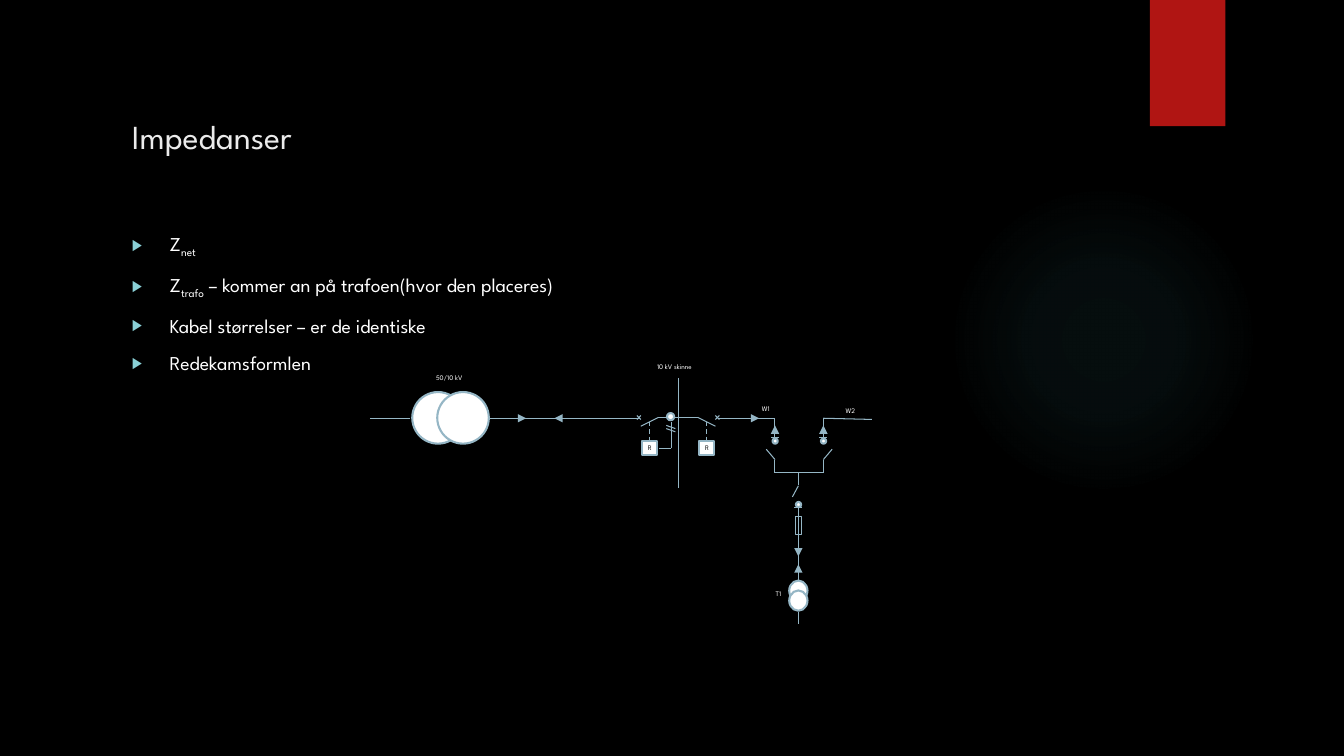
from dataclasses import dataclass

from pptx import Presentation
from pptx.dml.color import RGBColor
from pptx.enum.dml import MSO_LINE_DASH_STYLE as Dash
from pptx.enum.shapes import MSO_CONNECTOR as Connector, MSO_SHAPE as Shape
from pptx.enum.text import MSO_ANCHOR as Anchor, MSO_AUTO_SIZE as AutoSize, PP_ALIGN as Align
from pptx.oxml import parse_xml
from pptx.oxml.ns import nsdecls
from pptx.util import Cm, Pt


@dataclass(frozen=True)
class Theme:
    font: str = "League Spartan"
    background: str = "000000"
    title: str = "EBEBEB"
    light: str = "FFFFFF"
    dark: str = "000000"
    bullet: str = "8AD0D6"
    ribbon: str = "B01513"
    glow: str = "50B9C1"
    wire: str = "95B6C5"
    title_size: float = 24
    body_size: float = 14
    label_size: float = 5
    wire_width: float = 0.75
    symbol_width: float = 1.5
    fuse_width: float = 0.5


THEME = Theme()
AXIS = 10.54        # height of the incoming feeder
BUSBAR = 17.09      # position of the 10 kV busbar
CABLES = (19.53, 20.75)
LINK = 11.91        # height of the link joining both cables
TRUNK = 20.12       # position of the branch to T1

# Each item is a list of (text, is subscript)
ITEMS = [
    [("Z", False), ("net", True)],
    [("Z", False), ("trafo", True), (" – kommer an på trafoen(hvor den placeres)", False)],
    [("Kabel størrelser – er de identiske", False)],
    [("Redekamsformlen", False)],
]


def rgb(value):
    return RGBColor.from_string(value)


def apply(target, values):
    for name, value in values.items():
        setattr(target, name, value)


def style_font(font, size, color):
    apply(font, {"name": THEME.font, "size": Pt(size)})
    font.color.rgb = rgb(color)


def wire(slide, x1, y1, x2, y2, arrow=False, dashed=False):
    line = slide.shapes.add_connector(Connector.STRAIGHT, Cm(x1), Cm(y1), Cm(x2), Cm(y2))
    line.line.color.rgb = rgb(THEME.wire)
    line.line.width = Pt(THEME.wire_width)
    if dashed:
        line.line.dash_style = Dash.DASH
    if arrow:
        line.line._get_or_add_ln().append(
            parse_xml(f'<a:tailEnd {nsdecls("a")} type="triangle"/>'))
    line._element.spPr.append(parse_xml(f'<a:effectLst {nsdecls("a")}/>'))


def symbol(slide, kind, x, y, width, height, fill=THEME.light,
           outline=THEME.wire, weight=THEME.symbol_width):
    shape = slide.shapes.add_shape(kind, Cm(x), Cm(y), Cm(width), Cm(height))
    shape.shadow.inherit = False
    if fill:
        shape.fill.solid()
        shape.fill.fore_color.rgb = rgb(fill)
    else:
        shape.fill.background()
    if outline:
        shape.line.color.rgb = rgb(outline)
        shape.line.width = Pt(weight)
    else:
        shape.line.fill.background()
    return shape


def label(slide, text, x, y, width, color=THEME.light):
    frame = slide.shapes.add_textbox(Cm(x), Cm(y), Cm(width), Cm(0.48)).text_frame
    apply(frame, {"word_wrap": True, "auto_size": AutoSize.SHAPE_TO_FIT_TEXT})
    run = frame.paragraphs[0].add_run()
    run.text = text
    style_font(run.font, THEME.label_size, color)


def place(holder, left, top, width, height):
    apply(holder, {"left": Cm(left), "top": Cm(top), "width": Cm(width), "height": Cm(height)})
    apply(holder.text_frame, {"word_wrap": True, "auto_size": AutoSize.NONE,
                              "vertical_anchor": Anchor.TOP})
    return holder.text_frame


def backdrop(slide):
    slide.background.fill.solid()
    slide.background.fill.fore_color.rgb = rgb(THEME.background)
    glow = symbol(slide, Shape.OVAL, 23.9, 4.65, 7.82, 7.82, fill=None, outline=None)
    stops = "".join(
        f'<a:gs pos="{pos}000"><a:srgbClr val="{THEME.glow}">'
        f'<a:alpha val="{alpha}000"/></a:srgbClr></a:gs>'
        for pos, alpha in ((0, 7), (36, 6), (69, 0)))
    gradient = parse_xml(
        f'<a:gradFill {nsdecls("a")}><a:gsLst>{stops}</a:gsLst><a:path path="circle">'
        '<a:fillToRect l="50000" t="50000" r="50000" b="50000"/></a:path></a:gradFill>')
    properties = glow._element.spPr
    properties.replace(properties[2], gradient)
    symbol(slide, Shape.RECTANGLE, 28.98, 0, 1.9, 3.18, fill=THEME.ribbon, outline=None)


def heading(slide):
    frame = place(slide.shapes.title, 3.07, 2.79, 26.67, 2.92)
    frame.text = "Impedanser"
    frame.paragraphs[0].alignment = Align.LEFT
    style_font(frame.paragraphs[0].runs[0].font, THEME.title_size, THEME.title)


def bullet_list(slide):
    frame = place(slide.placeholders[1], 3.07, 5.72, 24.84, 11.66)
    for index, pieces in enumerate(ITEMS):
        item = frame.add_paragraph() if index else frame.paragraphs[0]
        properties = item._p.get_or_add_pPr()
        for name, value in {"marL": Cm(0.95), "indent": Cm(-0.95)}.items():
            properties.set(name, str(value))
        for tag in (f'buClr {nsdecls("a")}><a:srgbClr val="{THEME.bullet}"/></a:buClr',
                    f'buSzPct {nsdecls("a")} val="80000"/',
                    f'buChar {nsdecls("a")} char="▶"/'):
            properties.append(parse_xml(f"<a:{tag}>"))
        item.space_before = Pt(10 if index else 0)
        for text, subscript in pieces:
            run = item.add_run()
            run.text = text
            style_font(run.font, THEME.body_size, THEME.light)
            if subscript:
                run._r.get_or_add_rPr().set("baseline", "-25000")


def breaker(slide, side):
    """Breaker with relay; side is -1 left of the busbar and 1 right of it."""
    def at(offset):
        return BUSBAR + side * offset

    y = AXIS - 0.02
    wire(slide, BUSBAR, y, at(0.5), y)
    wire(slide, at(0.5), y, at(0.94), y + 0.22)
    for slope in (-1, 1):
        wire(slide, at(0.99) - 0.05, y - slope * 0.05, at(0.99) + 0.05, y + slope * 0.05)
    relay = at(0.72)
    wire(slide, relay, 10.64, relay, 11.18, dashed=True)
    symbol(slide, Shape.RECTANGLE, relay - 0.19, 11.11, 0.38, 0.36)
    label(slide, "R", relay - 0.29, 11.05, 0.81, THEME.dark)


def terminal(slide, x, bar, top):
    """Round contact with a bar across its cable."""
    symbol(slide, Shape.OVAL, x - 0.06, top, 0.13, 0.13)
    wire(slide, x - 0.1, bar, x + 0.1, bar)


def supply(slide):
    for x in (10.39, 11.02):
        symbol(slide, Shape.OVAL, x, 9.88, 1.3, 1.3)
    for start, end, arrow in ((9.32, 10.34, False), (12.32, 16.13, False),
                              (12.73, 13.26, True), (14.4, 13.97, True)):
        wire(slide, start, AXIS, end, AXIS, arrow)
    label(slide, "50/10 kV", 10.74, 9.3, 1.4)


def switchgear(slide):
    wire(slide, BUSBAR, 9.52, BUSBAR, 12.29)
    for side in (-1, 1):
        breaker(slide, side)
    # Current transformer
    symbol(slide, Shape.OVAL, 16.81, 10.41, 0.18, 0.18)
    wire(slide, 16.92, 10.64, 16.92, 11.3)
    wire(slide, 16.61, 11.3, 16.92, 11.3)
    for y in (10.72, 10.8):
        wire(slide, 16.79, y, 17.02, y + 0.08)
    label(slide, "10 kV skinne", 16.31, 9.02, 1.63)


def cable_ring(slide):
    left, right = CABLES
    wire(slide, 18.11, AXIS, left, AXIS)
    wire(slide, 18.59, AXIS, 19.13, AXIS, arrow=True)
    wire(slide, right, AXIS, 21.97, AXIS + 0.03)
    for x, side in zip(CABLES, (-1, 1)):
        wire(slide, x, AXIS, x, 11.02)
        wire(slide, x, 11.02, x, 10.72, arrow=True)
        terminal(slide, x, 11.02, 11.05)
        wire(slide, x, 11.58, x + side * 0.22, 11.32)
        wire(slide, x, 11.58, x, LINK)
    wire(slide, left, LINK, right, LINK)
    label(slide, "W1", 18.95, 10.08, 1.63)
    label(slide, "W2", 21.06, 10.13, 1.63)


def transformer_branch(slide):
    for start, end, arrow in ((LINK, 12.22, False), (12.78, 14.55, False), (13.54, 14.02, True),
                              (14.61, 14.22, True), (15.42, 15.72, False)):
        wire(slide, TRUNK, start, TRUNK, end, arrow)
    wire(slide, TRUNK, 12.24, TRUNK - 0.15, 12.52)
    terminal(slide, TRUNK, 12.78, 12.65)
    symbol(slide, Shape.RECTANGLE, TRUNK - 0.08, 13, 0.15, 0.46,
           fill=None, weight=THEME.fuse_width)
    for y in (14.63, 14.88):
        symbol(slide, Shape.OVAL, TRUNK - 0.23, y, 0.46, 0.51)
    label(slide, "T1", 19.3, 14.73, 0.81)


def main():
    deck = Presentation()
    apply(deck, {"slide_width": Cm(33.87), "slide_height": Cm(19.05)})
    slide = deck.slides.add_slide(deck.slide_layouts[1])
    for draw in (backdrop, heading, bullet_list, supply, switchgear,
                 cable_ring, transformer_branch):
        draw(slide)
    deck.save("out.pptx")


if __name__ == "__main__":
    main()
